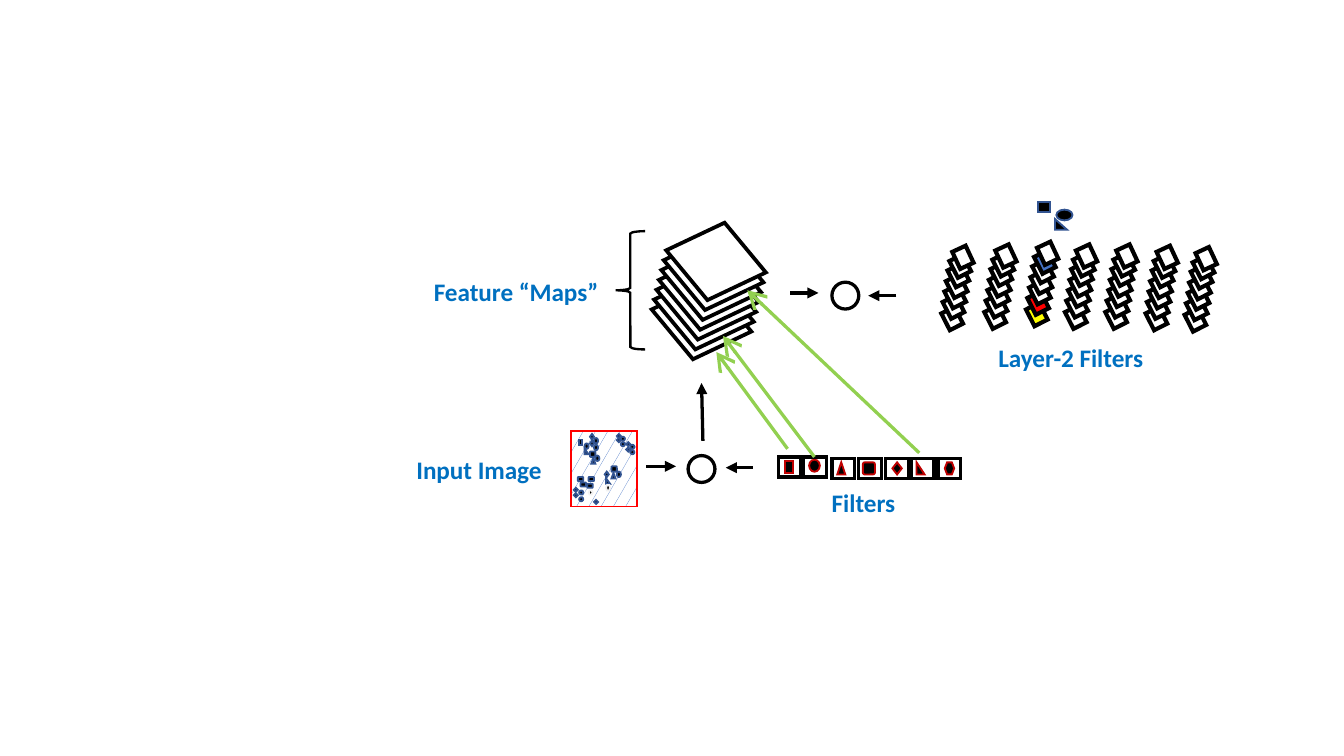
"""Draw how filters turn an input image into feature maps for a second layer."""
from lxml import etree
from pptx import Presentation
from pptx import util as u
from pptx.dml.color import RGBColor
from pptx.enum import dml, shapes, text
from pptx.oxml.ns import qn

COLORS = {"black": "000000", "white": "FFFFFF", "blue": "4472C4", "navy": "325491",
          "label": "0070C0", "red": "FF0000", "dark red": "C00000", "pale": "F2F2F2",
          "yellow": "FFFF00", "green": "92D050"}
RGB = {name: RGBColor.from_string(value) for name, value in COLORS.items()}
KIND = shapes.MSO_SHAPE
COLS = 1000

prs = Presentation()
prs.slide_width = u.Inches(10)
prs.slide_height = prs.slide_width * 9 // 16
CELL = prs.slide_width / COLS
s = prs.slides.add_slide(prs.slide_layouts[6])


def add_shape(kind, x, y, w, h, fill=None, line="black", weight=1, rotation=0):
    sp = s.shapes.add_shape(kind, *[round(CELL * n) for n in (x, y, w, h)])
    sp.shadow.inherit = False
    sp.rotation = rotation
    if fill:
        sp.fill.solid()
        sp.fill.fore_color.rgb = RGB[fill]
    else:
        sp.fill.background()
    sp.line.color.rgb = RGB[line]
    sp.line.width = u.Pt(weight)
    etree.SubElement(sp._element.spPr.find(qn("a:ln")), qn("a:miter"), lim="800000")
    return sp


def add_text(words, x, y, w, h=33, size=13.5, color="label", bold=True, align=text.PP_ALIGN.LEFT):
    tf = s.shapes.add_textbox(*[round(CELL * n) for n in (x, y, w, h)]).text_frame
    tf.word_wrap = False
    tf.auto_size = text.MSO_AUTO_SIZE.SHAPE_TO_FIT_TEXT
    p = tf.paragraphs[0]
    p.alignment = align
    r = p.add_run()
    r.text = words
    r.font.name, r.font.size, r.font.bold = "Calibri", u.Pt(size), bold
    r.font.color.rgb = RGB[color]


image = add_shape(KIND.RECTANGLE, 425, 321, 49, 56, line="red")
image.fill.patterned()
image.fill.pattern = dml.MSO_PATTERN.SMALL_CONFETTI
image.fill.fore_color.rgb, image.fill.back_color.rgb = RGB["blue"], RGB["white"]

marks = [
    (KIND.DIAMOND, 3, 4, [(439, 323), (439, 328), (450, 351)]),
    (KIND.OVAL, 3, 4, [(442, 326), (442, 331), (435, 330), (443, 339), (459, 351)]),
    (KIND.RECTANGLE, 2, 4, [(431, 327)]),
    (KIND.RIGHT_TRIANGLE, 3, 4, [(435, 334), (451, 356)]),
    (KIND.ROUNDED_RECTANGLE, 4, 4, [(439, 336), (455, 347)]),
    (KIND.ISOSCELES_TRIANGLE, 3, 4, [(440, 341), (455, 352)]),
    (KIND.HEXAGON, 3, 4, [(451, 361)]),
    (KIND.ROUNDED_RECTANGLE, 4, 3, [(430, 355), (432, 359), (437, 360), (438, 355)]),
    (KIND.DIAMOND, 3, 3, [(427, 363), (427, 367), (442, 372), (459, 323),
                          (459, 326), (466, 329), (466, 333)]),
    (KIND.OVAL, 3, 3, [(431, 365), (431, 370), (462, 325), (462, 329), (469, 331), (469, 335)]),
    (KIND.HEXAGON, 3, 3, [(438, 365)]),
]
for kind, w, h, spots in marks:
    for x, y in spots:
        add_shape(kind, x, y, w, h, "black", "pale" if kind == KIND.HEXAGON else "navy")

add_text("Input Image", 300, 333, 114)

for i in range(7):
    add_shape(KIND.DIAMOND, 484 + 1.8 * i, 209 - 7.33 * i, 76, 59,
              "white" if i else None, weight=2, rotation=12.5)
add_text("Filters", 609, 358, 68)
add_shape(KIND.LEFT_BRACE, 458, 172, 22, 88, weight=1.25)
add_text("Feature “Maps”", 312, 201, 144, align=text.PP_ALIGN.CENTER)

filters = [
    (KIND.RECTANGLE, 579, 340, 584, 343, 6),
    (KIND.OVAL, 598, 340, 602, 342, 8),
    (KIND.ISOSCELES_TRIANGLE, 619, 341, 623, 344, 6),
    (KIND.ROUNDED_RECTANGLE, 639, 341, 642, 344, 9),
    (KIND.DIAMOND, 659, 341, 664, 344, 7),
    (KIND.RIGHT_TRIANGLE, 678, 341, 682, 344, 6),
    (KIND.HEXAGON, 698, 341, 703, 344, 7),
]
for kind, frame_x, frame_y, x, y, w in filters:
    add_shape(kind, x, y, w, 9, "black", "dark red")
    add_shape(KIND.RECTANGLE, frame_x, frame_y, 17, 15, weight=1.75)

stacks = [(703, 230), (735, 229), (766, 227), (795, 229), (825, 229), (855, 230), (884, 231)]
layers = [(0, 0), (1, 8.5), (2.3, 16.3), (3.4, 24), (4.6, 32), (6, 39), (8, 45.5)]
highlights = {0: "yellow", 1: "red", 5: "blue"}
for column, (x, y) in enumerate(stacks):
    for i, (right, up) in enumerate(layers):
        fill = highlights.get(i, "white") if column == 2 else "white"
        add_shape(KIND.RECTANGLE, x + right, y - up, 11, 14, fill,
                  weight=2.25, rotation=335 if i == 6 else 333)

for x, y in [(512, 339), (619, 210)]:
    add_shape(KIND.OVAL, x, y, 20, 20, weight=1.75)

arrows = [
    (481, 347, 503, 347, "black", "triangle", "med"),
    (560, 348, 540, 348, "black", "triangle", "med"),
    (523, 328, 522, 285, "black", "triangle", "med"),
    (586, 334, 533, 262, "green", "arrow", "lg"),
    (606, 340, 538, 250, "green", "arrow", "lg"),
    (684, 337, 556, 216, "green", "arrow", "lg"),
    (588, 218, 609, 218, "black", "triangle", "med"),
    (667, 220, 646, 220, "black", "triangle", "med"),
]
for *ends, color, head, size in arrows:
    arrow = s.shapes.add_connector(shapes.MSO_CONNECTOR.STRAIGHT, *[round(CELL * n) for n in ends])
    arrow.line.color.rgb = RGB[color]
    arrow.line.width = u.Pt(1.75)
    spPr = arrow._element.spPr
    etree.SubElement(spPr.find(qn("a:ln")), qn("a:tailEnd"), type=head, w=size, len=size)
    etree.SubElement(spPr, qn("a:effectLst"))

add_text("Layer-2 Filters", 733, 250, 129)
for kind, x, y, w in [(KIND.RECTANGLE, 772, 150, 9), (KIND.OVAL, 786, 156, 12),
                      (KIND.RIGHT_TRIANGLE, 785, 163, 9)]:
    add_shape(kind, x, y, w, 8, "black", "navy")

prs.save("out.pptx")
